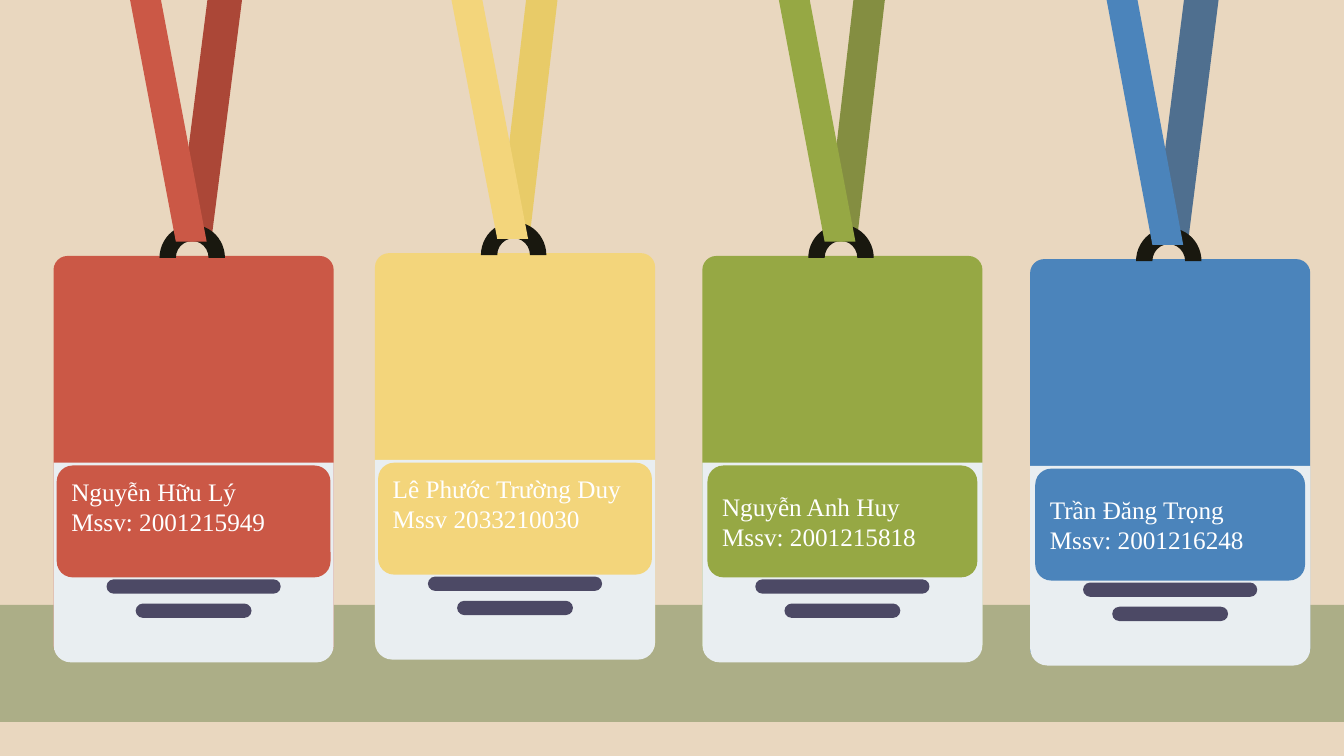
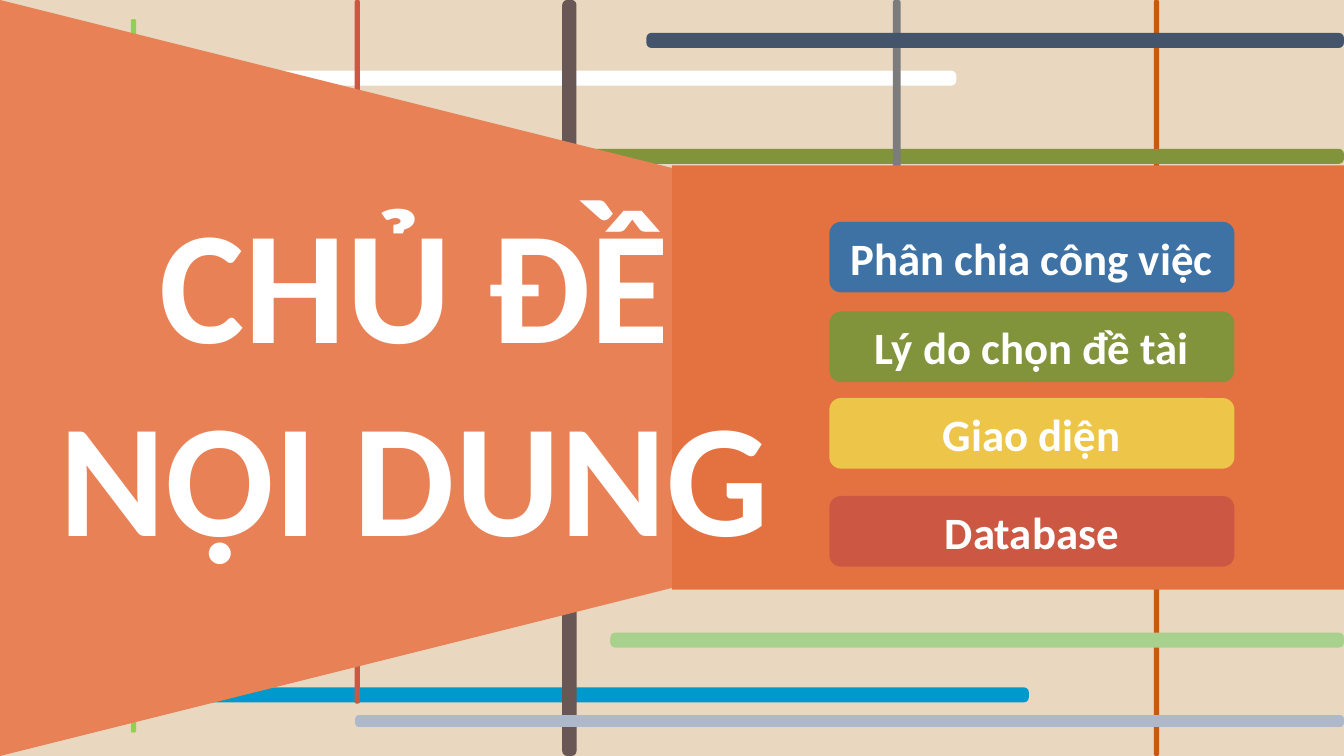
import dataclasses

import pptx
import pptx.dml.color
import pptx.enum.shapes
import pptx.enum.text
import pptx.util

Cm = pptx.util.Cm
SHAPE = pptx.enum.shapes.MSO_SHAPE
ALIGN = pptx.enum.text.PP_ALIGN
ANCHOR = pptx.enum.text.MSO_ANCHOR


@dataclasses.dataclass(frozen=True)
class Theme:
    width: float = 33.87
    height: float = 19.05
    wall: str = "E9D7BF"
    ground: str = "ACAE87"
    paper: str = "E9EEF1"
    ring: str = "19180F"
    ink: str = "4C4965"
    text: str = "FFFFFF"
    banner: str = "E47240"
    banner_light: str = "E88156"
    blue: str = "3E72A5"
    green: str = "81943B"
    yellow: str = "ECC549"
    red: str = "CC5843"
    card_font: str = "Times New Roman"
    heading_font: str = "Calibri"
    card_size: int = 18
    button_size: int = 32
    title_size: int = 115


@dataclasses.dataclass(frozen=True)
class Card:
    left: float
    top: float
    color: str
    strap_color: str
    strap_width: float
    badge_margin: float
    text_lift: float
    lines: tuple


THEME = Theme()

CARDS = [
    Card(1.35, 6.45, "CB5846", "AB4737", 1.65, 0.08, 0.76,
         ("Nguyễn Hữu Lý", "Mssv: 2001215949")),
    Card(9.45, 6.38, "F3D57B", "E8CB68", 1.5, 0.08, 0.76,
         ("Lê Phước Trường Duy", "Mssv 2033210030")),
    Card(17.7, 6.45, "96A844", "848E41", 1.5, 0.13, 0,
         ("Nguyễn Anh Huy", "Mssv: 2001215818")),
    Card(25.96, 6.53, "4B84BB", "4F6F8F", 1.65, 0.13, 0,
         ("Trần Đăng Trọng", "Mssv: 2001216248")),
]

# left, top, width, height, colour; from back to front
STRIPES = [
    (3.3, 0.48, 0.13, 17.98, "92D050"),
    (0, 1.78, 24.1, 0.38, "FFFFFF"),
    (29.08, 0, 0.13, 19.05, "C55A11"),
    (0, 17.32, 25.93, 0.38, "0099CC"),
    (14.17, 0, 0.36, 19.05, "695755"),
    (6.41, 3.75, 27.46, 0.38, THEME.green),
    (8.94, 0, 0.13, 17.73, THEME.red),
    (15.38, 15.94, 18.49, 0.38, "A9D18E"),
    (22.5, 0, 0.2, 11.45, "7C7C7C"),
    (16.29, 0.83, 17.58, 0.38, "44546A"),
    (8.95, 18.02, 24.92, 0.3, "ADB9CA"),
]

BUTTONS = [
    (5.59, THEME.blue, "Phân chia công việc"),
    (7.85, THEME.green, "Lý do chọn đề tài"),
    (10.03, THEME.yellow, "Giao diện"),
    (12.5, THEME.red, "Database"),
]


def rgb(code):
    return pptx.dml.color.RGBColor.from_string(code)


def add_slide(deck):
    slide = deck.slides.add_slide(deck.slide_layouts[6])
    slide.background.fill.solid()
    slide.background.fill.fore_color.rgb = rgb(THEME.wall)
    return slide


def add_block(shapes, kind, left, top, width, height, color, adjust=(), rotation=0):
    """Add a flat preset shape without line or shadow; lengths in centimetres."""
    block = shapes.add_shape(kind, Cm(left), Cm(top), Cm(width), Cm(height))
    block.shadow.inherit = False
    block.fill.solid()
    block.fill.fore_color.rgb = rgb(color)
    block.line.fill.background()
    block.rotation = rotation
    for index, value in enumerate(adjust):
        block.adjustments[index] = value
    return block


def write(box, lines, font, size, align, anchor, bold=False):
    frame = box.text_frame
    frame.word_wrap = True
    frame.vertical_anchor = anchor
    for index, line in enumerate(lines):
        para = frame.add_paragraph() if index else frame.paragraphs[0]
        para.alignment = align
        span = para.add_run()
        span.text = line
        span.font.name = font
        span.font.size = pptx.util.Pt(size)
        span.font.bold = bold
        span.font.color.rgb = rgb(THEME.text)


def add_card(slide, card):
    """Add a name card hanging from a ring and two crossing straps."""
    shapes = slide.shapes.add_group_shape().shapes
    left, top, width = card.left, card.top, 7.06
    add_block(shapes, SHAPE.ROUNDED_RECTANGLE, left, top, width, 10.16, card.color, [0.05])
    add_block(shapes, SHAPE.ROUND_2_SAME_RECTANGLE, left, top + 5.21, width, 5.03,
              THEME.paper, [0.086, 0], rotation=180)

    badge = add_block(shapes, SHAPE.ROUNDED_RECTANGLE, left + card.badge_margin, top + 5.28,
                      width - 2 * card.badge_margin, 2.82, card.color, [0.143])
    badge.text_frame.margin_bottom = Cm(0.13 + card.text_lift)
    write(badge, card.lines, THEME.card_font, THEME.card_size, ALIGN.LEFT, ANCHOR.MIDDLE)

    for bar_top, bar_width in ((8.15, 4.39), (8.76, 2.92)):
        add_block(shapes, SHAPE.ROUNDED_RECTANGLE, left + (width - bar_width) / 2,
                  top + bar_top, bar_width, 0.36, THEME.ink, [0.5])

    strap_length = top - 0.36
    add_block(shapes, SHAPE.PARALLELOGRAM, left + 3.1, 0, card.strap_width, strap_length,
              card.strap_color, [0.472])
    add_block(shapes, SHAPE.BLOCK_ARC, left + 2.67, top - 0.79, 1.65, 1.68, THEME.ring)
    front = add_block(shapes, SHAPE.PARALLELOGRAM, left + 1.93, 0, 1.93, strap_length,
                      card.color, [0.597])
    front.element.spPr.xfrm.set("flipH", "1")


def add_banner(slide):
    """Add the wide trapezoid that narrows into a rectangle, with the title on it."""
    shapes = slide.shapes.add_group_shape().shapes
    middle = THEME.width / 2
    overhang = (THEME.height - middle) / 2
    add_block(shapes, SHAPE.RECTANGLE, middle, 4.17, middle, 10.69, THEME.banner)
    add_block(shapes, SHAPE.TRAPEZOID, -overhang, overhang, THEME.height, middle,
              THEME.banner_light, [0.25], rotation=90)
    title = shapes.add_textbox(Cm(1.02), Cm(4.47), Cm(18.85), Cm(10.08))
    write(title, ["CHỦ ĐỀ NỘI DUNG"], THEME.heading_font, THEME.title_size,
          ALIGN.CENTER, ANCHOR.TOP, bold=True)


def add_button(slide, top, color, label):
    button = add_block(slide.shapes, SHAPE.ROUNDED_RECTANGLE, 20.9, top, 10.21, 1.78, color)
    write(button, [label], THEME.heading_font, THEME.button_size,
          ALIGN.CENTER, ANCHOR.MIDDLE, bold=True)


def build_team_slide(deck):
    slide = add_slide(deck)
    add_block(slide.shapes, SHAPE.RECTANGLE, 0, 15.24, THEME.width, 2.95, THEME.ground)
    for card in CARDS:
        add_card(slide, card)


def build_contents_slide(deck):
    slide = add_slide(deck)
    for left, top, width, height, color in STRIPES:
        add_block(slide.shapes, SHAPE.ROUNDED_RECTANGLE, left, top, width, height,
                  color, [0.339])
    add_banner(slide)
    for top, color, label in BUTTONS:
        add_button(slide, top, color, label)


def main():
    deck = pptx.Presentation()
    deck.slide_width = Cm(THEME.width)
    deck.slide_height = Cm(THEME.height)
    build_team_slide(deck)
    build_contents_slide(deck)
    deck.save("out.pptx")


if __name__ == "__main__":
    main()
